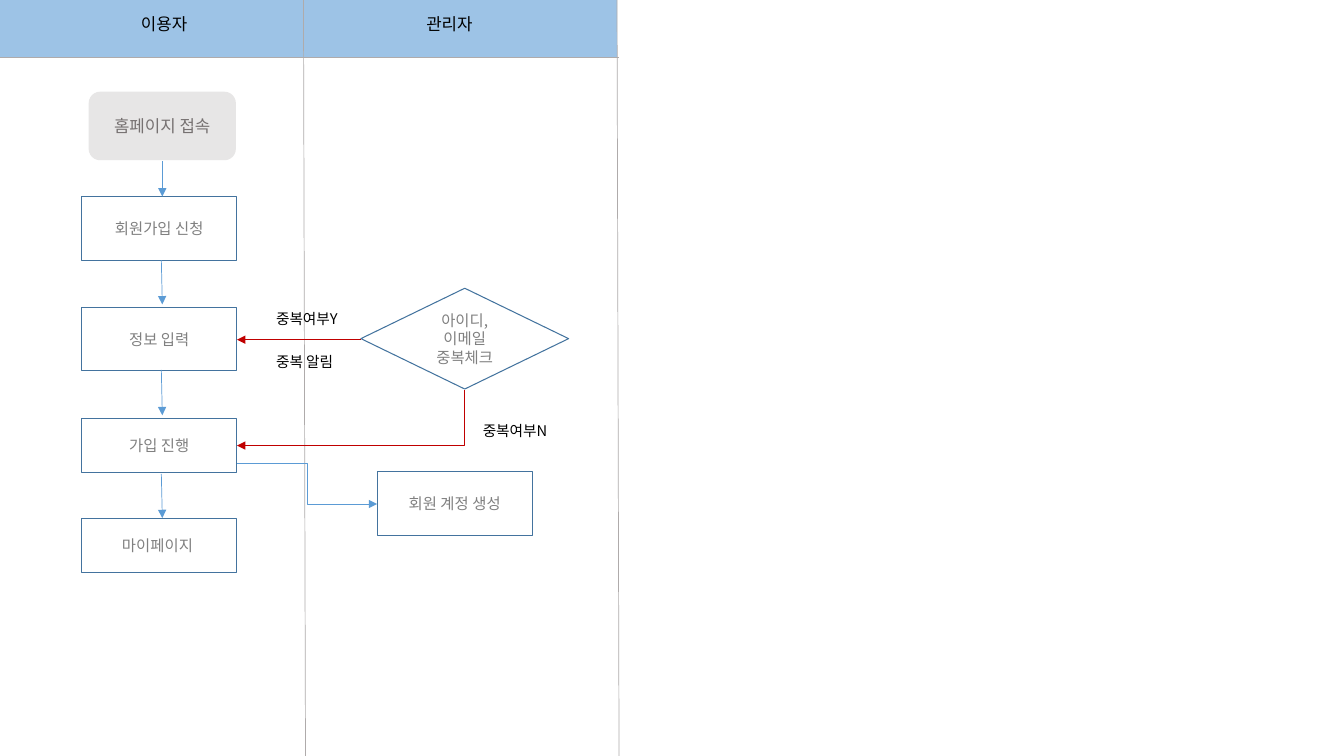
from lxml.etree import SubElement
from pptx import Presentation
from pptx.dml.color import RGBColor
from pptx.enum.shapes import MSO_CONNECTOR as Link, MSO_SHAPE as Kind
from pptx.enum.text import MSO_ANCHOR as Anchor, MSO_AUTO_SIZE as Fit, PP_ALIGN as Align
from pptx.oxml.ns import qn
from pptx.util import Inches, Pt

FONT = "Noto Sans CJK KR"
WIDE, HIGH = 13.33, 7.5
BLUE, RED, GREY, EDGE = "5B9BD5", "C00000", "AFABAB", "43739E"
BAR = 0.57                    # header height
LANES = [3.01, 6.12]          # right edge of each lane
SLANT = 0.02                  # lane edges lean slightly
COL, BOX = 0.81, 1.54         # user column: left and width
MID, SIDE = COL + BOX / 2 + 0.03, COL + BOX

# text, left, top, width, height, size
LABELS = [
    ("이용자", 1.3, 0.09, 0.96, 0.3, 12),
    ("관리자", 4.13, 0.09, 0.96, 0.3, 12),
    ("중복여부Y", 2.64, 3.02, 1.49, 0.28, 10.5),
    ("중복 알림", 2.64, 3.45, 1.49, 0.28, 10.5),
    ("중복여부N", 4.69, 4.14, 1.49, 0.28, 10.5),
]
# text, left, top, height
STEPS = [
    ("회원가입 신청", COL, 1.95, 0.63),
    ("정보 입력", COL, 3.05, 0.63),
    ("가입 진행", COL, 4.15, 0.54),
    ("마이페이지 ", COL, 5.14, 0.54),
    ("회원 계정 생성", 3.74, 4.68, 0.63),
]
START = ("홈페이지 접속", 0.88, 0.91, 1.46, 0.68)
CHECK = ("아이디,이메일 중복체크", 3.58, 2.86, 2.06, 1)
# start and end height of each arrow between user steps
DROPS = [(2.58, 3.02), (3.67, 4.12), (4.7, 5.14)]


def rgb(code):
    return RGBColor.from_string(code)


def write(frame, text, size, color):
    frame.text = text
    frame.word_wrap = True
    font = frame.paragraphs[0].runs[0].font
    font.name, font.size, font.color.rgb = FONT, Pt(size), rgb(color)
    SubElement(font._element, qn("a:ea"), typeface=FONT)


def block(kind, left, top, width, height, fill=None, edge=None):
    item = shapes.add_shape(kind, *map(Inches, (left, top, width, height)))
    item.shadow.inherit = False
    if fill:
        item.fill.solid()
        item.fill.fore_color.rgb = rgb(fill)
    else:
        item.fill.background()
    if edge:
        item.line.color.rgb = rgb(edge)
        item.line.width = Pt(0.75)
    else:
        item.line.fill.background()
    return item


def step(kind, text, *place, size=11, color="808080", fill=None, edge=EDGE):
    frame = block(kind, *place, fill, edge).text_frame
    write(frame, text, size, color)
    frame.vertical_anchor = Anchor.MIDDLE
    frame.paragraphs[0].alignment = Align.CENTER


def link(x1, y1, x2, y2, color, kind=Link.STRAIGHT, head=True):
    line = shapes.add_connector(kind, *map(Inches, (x1, y1, x2, y2)))
    line.line.color.rgb = rgb(color)
    line.line.width = Pt(0.5)
    if head:
        SubElement(line.line._get_or_add_ln(), qn("a:tailEnd"), type="triangle")
    SubElement(line._element.spPr, qn("a:effectLst"))
    return line


def corner(x1, y1, x2, y2, color):
    """Arrow that runs down, then left: a one-bend link turned by 90 degrees."""
    run, drop = x1 - x2, y2 - y1
    cx, cy = (x1 + x2) / 2, (y1 + y2) / 2
    line = link(cx - drop / 2, cy - run / 2, cx + drop / 2, cy + run / 2, color, Link.ELBOW)
    line._element.spPr.find(qn("a:prstGeom")).set("prst", "bentConnector2")
    line._element.spPr.find(qn("a:xfrm")).set("rot", str(90 * 60000))


deck = Presentation()
deck.slide_width, deck.slide_height = Inches(WIDE), Inches(HIGH)
shapes = deck.slides.add_slide(deck.slide_layouts[6]).shapes

block(Kind.RECTANGLE, 0, 0, LANES[-1], BAR, "9DC3E6")
for x in LANES:
    link(x, 0, x + SLANT, HIGH, GREY, head=False)
link(0, BAR, LANES[-1] + SLANT, BAR, GREY, head=False)

step(Kind.FLOWCHART_ALTERNATE_PROCESS, *START, size=12, color="767171", fill="E7E6E6", edge=None)
step(Kind.FLOWCHART_DECISION, *CHECK)
for text, left, top, height in STEPS:
    step(Kind.FLOWCHART_PROCESS, text, left, top, BOX, height, fill="FFFFFF")

link(3.58, 3.37, SIDE, 3.37, RED)
corner(4.61, 3.87, SIDE, 4.42, RED)
link(SIDE, 4.6, 3.74, 5, BLUE, Link.ELBOW)
link(MID, 1.6, MID, 1.95, BLUE)
for top, end in DROPS:
    link(MID - 0.01, top, MID, end, BLUE)

for text, left, top, width, height, size in LABELS:
    frame = shapes.add_textbox(*map(Inches, (left, top, width, height))).text_frame
    write(frame, text, size, "000000")
    frame.auto_size = Fit.SHAPE_TO_FIT_TEXT

deck.save("out.pptx")
